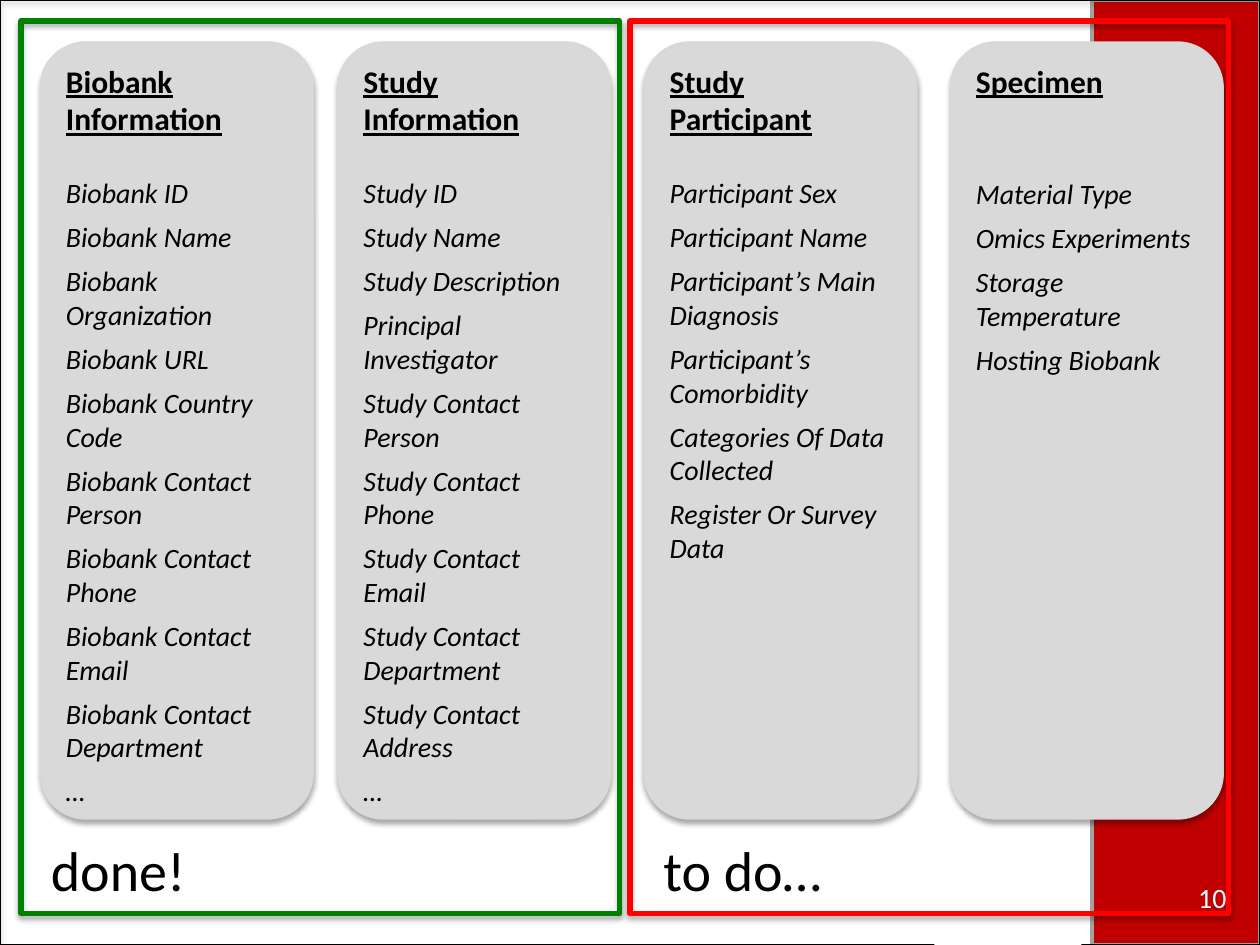
"""Build the slide that sorts biobank data fields into done and to do."""
from lxml import etree
from pptx import Presentation
from pptx.dml.color import RGBColor
from pptx.enum.shapes import MSO_SHAPE
from pptx.enum.text import MSO_ANCHOR, PP_ALIGN
from pptx.oxml import parse_xml
from pptx.oxml.ns import nsdecls, qn
from pptx.util import Pt

RECT = MSO_SHAPE.RECTANGLE
ROUNDED = MSO_SHAPE.ROUNDED_RECTANGLE
TOP, MIDDLE = MSO_ANCHOR.TOP, MSO_ANCHOR.MIDDLE
LEFT, RIGHT = PP_ALIGN.LEFT, PP_ALIGN.RIGHT

BLACK = RGBColor(0x00, 0x00, 0x00)
WHITE = RGBColor(0xFF, 0xFF, 0xFF)
RED_BAND = RGBColor(0xC0, 0x00, 0x00)
BAND_EDGE = RGBColor(0xA3, 0xA3, 0xA3)
CARD = RGBColor(0xD9, 0xD9, 0xD9)
CARD_EDGE = RGBColor(0xD8, 0xD8, 0xD8)
GREEN = RGBColor(0x00, 0x80, 0x00)
RED = RGBColor(0xFF, 0x00, 0x00)

FONT = "Calibri"
SHADOW = (
    f'<a:outerShdw {nsdecls("a")} blurRad="{Pt(3.1)}" dist="{Pt(1.8)}" '
    'dir="5400000" rotWithShape="0"><a:srgbClr val="000000">'
    '<a:alpha val="35000"/></a:srgbClr></a:outerShdw>'
)

COLUMNS = [
    (23, "Biobank Information", 22, [
        "Biobank ID", "Biobank Name", "Biobank Organization", "Biobank URL",
        "Biobank Country Code", "Biobank Contact Person",
        "Biobank Contact Phone", "Biobank Contact Email",
        "Biobank Contact Department", "…"]),
    (193, "Study Information", 22, [
        "Study ID", "Study Name", "Study Description",
        "Principal Investigator", "Study Contact Person",
        "Study Contact Phone", "Study Contact Email",
        "Study Contact Department", "Study Contact Address", "…"]),
    (368, "Study Participant", 22, [
        "Participant Sex", "Participant Name", "Participant’s Main Diagnosis",
        "Participant’s Comorbidity", "Categories Of Data Collected",
        "Register Or Survey Data"]),
    (543, "Specimen\t", 44, [
        "Material Type", "Omics Experiments", "Storage Temperature",
        "Hosting Biobank"]),
]


def add_box(s, kind, box, fill=None, line=None, width=1, shadow=False):
    """Add a preset shape with the given fill, outline and shadow."""
    sp = s.shapes.add_shape(kind, *map(Pt, box))
    if fill is None:
        sp.fill.background()
    else:
        sp.fill.solid()
        sp.fill.fore_color.rgb = fill
    if line is None:
        sp.line.fill.background()
    else:
        sp.line.color.rgb = line
        sp.line.width = Pt(width)
    sp.shadow.inherit = False
    if shadow:
        effects = sp._element.spPr.find(qn("a:effectLst"))
        effects.append(parse_xml(SHADOW))
    return sp


def add_tab_stop(p, position):
    """Give a paragraph one left tab stop."""
    tabs = etree.SubElement(p._p.get_or_add_pPr(), qn("a:tabLst"))
    etree.SubElement(tabs, qn("a:tab"), pos=str(Pt(position)), algn="l")


def format_paragraph(p, size, color=BLACK, align=LEFT, after=0, **style):
    """Set alignment, spacing and run formatting of a paragraph."""
    p.alignment = align
    p.space_after = Pt(after)
    for r in p.runs:
        r.font.name = FONT
        r.font.size = Pt(size)
        r.font.color.rgb = color
        for name, value in style.items():
            setattr(r.font, name, value)


def add_column(s, left, heading, gap, fields):
    """Add a rounded card with an underlined heading and its fields."""
    sp = add_box(s, ROUNDED, (left, 24, 156, 444), CARD, CARD_EDGE, 0.75, True)
    tf = sp.text_frame
    tf.word_wrap = True
    tf.vertical_anchor = TOP
    p = tf.paragraphs[0]
    p.text = heading
    if "\t" in heading:
        add_tab_stop(p, 89)
    format_paragraph(p, 18, after=gap, bold=True, underline=True)
    for field in fields:
        p = tf.add_paragraph()
        p.text = field
        format_paragraph(p, 16, after=6, italic=True)


def add_label(s, box, text, size, color=BLACK, align=LEFT, anchor=TOP):
    """Add a one-line text box."""
    tf = s.shapes.add_textbox(*map(Pt, box)).text_frame
    tf.word_wrap = align == RIGHT
    tf.vertical_anchor = anchor
    tf.text = text
    format_paragraph(tf.paragraphs[0], size, color, align)


def main():
    """Build and save the slide."""
    prs = Presentation()
    prs.slide_width, prs.slide_height = Pt(720), Pt(540)
    s = prs.slides.add_slide(prs.slide_layouts[6])
    add_box(s, RECT, (624, 0, 96, 540), RED_BAND, BAND_EDGE, 2)
    for column in COLUMNS:
        add_column(s, *column)
    add_box(s, RECT, (0, 0, 720, 540), line=BLACK, shadow=True)
    add_label(s, (642, 498, 66, 29), "10", 16, WHITE, RIGHT, MIDDLE)
    add_box(s, RECT, (534, 480, 84, 60), WHITE)
    for left, color in ((12, GREEN), (360, RED)):
        add_box(s, RECT, (left, 12, 342, 510), line=color, width=3, shadow=True)
    add_label(s, (372, 474, 106, 46), "to do…", 32)
    add_label(s, (22, 474, 92, 46), "done!", 32)
    prs.save("out.pptx")


if __name__ == "__main__":
    main()
